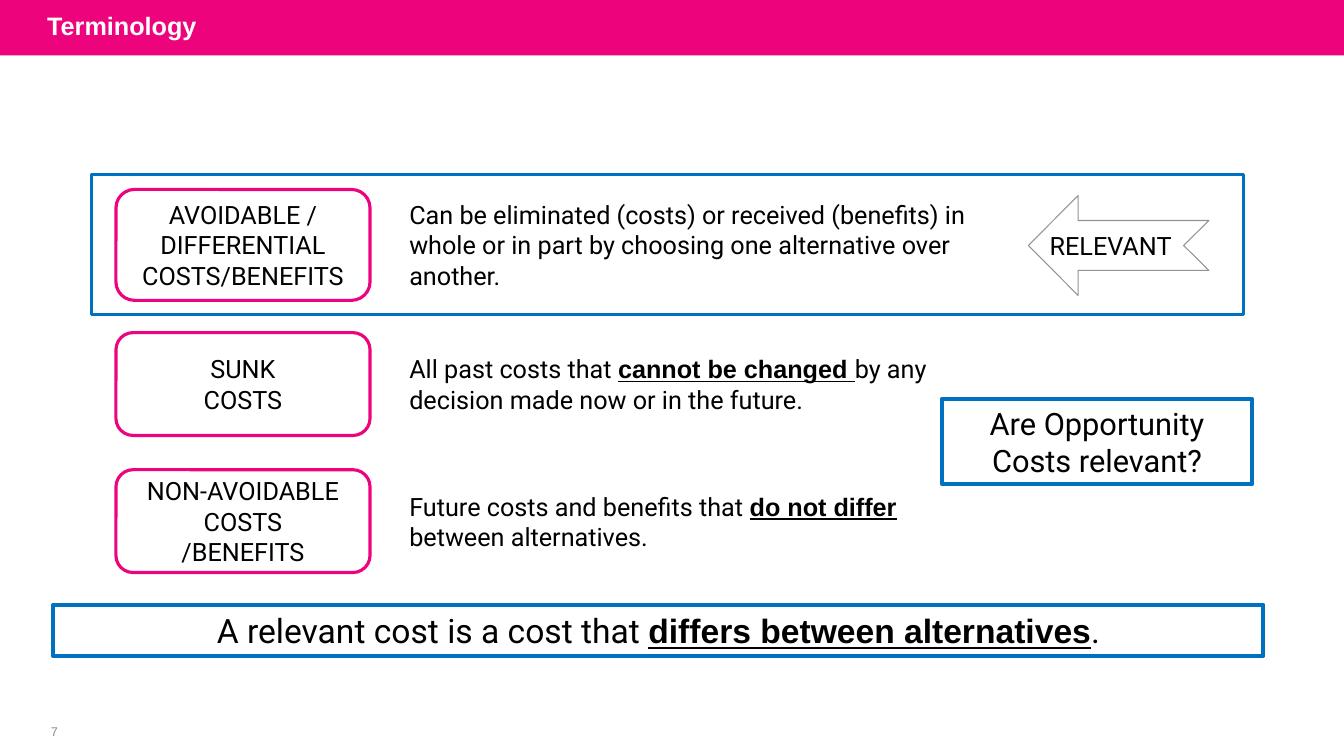
from pptx import Presentation
from pptx.dml.color import RGBColor
from pptx.enum.shapes import MSO_SHAPE
from pptx.enum.text import MSO_ANCHOR, PP_ALIGN
from pptx.util import Inches, Pt

# Content: a paragraph is a list of spans, and "*" starts a stressed span
TITLE = "Terminology"
PAGE_NUMBER = "7"
TERMS = [
    # card paragraphs, meaning paragraphs, lines of meaning
    ([["AVOIDABLE / DIFFERENTIAL COSTS/BENEFITS"]],
     [["Can be eliminated (costs) or received (benefits) in whole or in part "
       "by choosing one alternative over another."]], 3),
    ([["SUNK"], ["COSTS"]],
     [["All past costs that ", "*cannot be changed ",
       "by any decision made now or in the future."]], 2),
    ([["NON-AVOIDABLE COSTS"], ["/BENEFITS"]],
     [["Future costs and benefits that ", "*do not differ"],
      ["between alternatives."]], 2),
]
RELEVANT = [["RELEVANT"]]
QUESTION = [["Are Opportunity"], ["Costs relevant?"]]
CONCLUSION = [["A relevant cost is a cost that ",
               "*differs between alternatives", "."]]

# Layout in inches
WIDTH, HEIGHT = 13.33, 7.5
CARD_LEFT, CARD_WIDTH = 1.15, 2.52
CARD_ROWS = [(1.88, 1.1), (3.3, 1.02), (4.66, 1.02)]  # top, height
MEANING_LEFT, MEANING_WIDTH = 4.06, 5.6
LINE_HEIGHT = 0.3
FRAME = (0.91, 1.73, 11.42, 1.39)
QUESTION_BOX = (9.34, 3.96, 3.08, 0.84)
CONCLUSION_BOX = (0.53, 6, 12, 0.51)
ARROW_LEFT, ARROW_TOP, ARROW_WIDTH, ARROW_HEIGHT = 10.2, 1.94, 1.79, 0.99

PINK, BLUE, GREY, BLACK, WHITE = "ED037C", "0070C0", "929292", "000000", "FFFFFF"

deck = Presentation()
deck.slide_width, deck.slide_height = Inches(WIDTH), Inches(HEIGHT)
page = deck.slides.add_slide(deck.slide_layouts[6])


def color(value):
    return RGBColor.from_string(value)


def write(shape, paragraphs, size, align=PP_ALIGN.CENTER, font="Roboto",
          ink=BLACK, bold=False, side=0):
    frame = shape.text_frame
    frame.word_wrap = True
    frame.vertical_anchor = MSO_ANCHOR.MIDDLE
    frame.margin_left = frame.margin_right = Inches(side)
    frame.margin_top = frame.margin_bottom = 0
    for index, spans in enumerate(paragraphs):
        para = frame.add_paragraph() if index else frame.paragraphs[0]
        para.alignment = align
        for words in spans:
            stressed = words.startswith("*")
            span = para.add_run()
            span.text = words.removeprefix("*")
            span.font.name = "Arial" if stressed else font
            span.font.size = Pt(size)
            span.font.bold = bold or stressed
            span.font.underline = stressed
            span.font.color.rgb = color(ink)


def outline(shape, ink, weight):
    shape.shadow.inherit = False
    shape.fill.background()
    shape.line.color.rgb = color(ink)
    shape.line.width = Pt(weight)
    return shape


def add_box(kind, area, ink, weight):
    shape = page.shapes.add_shape(kind, *map(Inches, area))
    return outline(shape, ink, weight)


def add_text(area, paragraphs, size, **style):
    write(page.shapes.add_textbox(*map(Inches, area)), paragraphs, size, **style)


# Title band and page number
band = page.shapes.add_shape(MSO_SHAPE.RECTANGLE, 0, 0, Inches(WIDTH), Inches(0.55))
band.shadow.inherit = False
band.fill.solid()
band.fill.fore_color.rgb = color(PINK)
band.line.fill.background()
add_text((0.37, 0, 10.5, 0.51), [[TITLE]], 18, align=PP_ALIGN.LEFT,
         font="Arial", ink=WHITE, bold=True, side=0.1)
add_text((0.28, 7.14, 0.52, 0.24), [[PAGE_NUMBER]], 9, font="Arial", ink="8C8C8C")

# Conclusion
conclusion = add_box(MSO_SHAPE.RECTANGLE, CONCLUSION_BOX, BLUE, 3)
write(conclusion, CONCLUSION, 24)

# Notched arrow, in shares of its width and height
ARROW = [(1, 0.75), (0.275, 0.75), (0.275, 1), (0, 0.5),
         (0.275, 0), (0.275, 0.25), (1, 0.25), (0.86, 0.5)]
points = [(Inches(ARROW_LEFT + x * ARROW_WIDTH), Inches(ARROW_TOP + y * ARROW_HEIGHT))
          for x, y in ARROW]
builder = page.shapes.build_freeform(*points[0])
builder.add_line_segments(points[1:], close=True)
arrow = outline(builder.convert_to_shape(), GREY, 0.75)
write(arrow, RELEVANT, 18)
arrow.text_frame.margin_right = Inches(0.16)

# Terms and their meanings, each pair centred on one row
for (term, meaning, lines), (top, height) in zip(TERMS, CARD_ROWS):
    card = add_box(MSO_SHAPE.ROUNDED_RECTANGLE,
                   (CARD_LEFT, top, CARD_WIDTH, height), PINK, 2.25)
    write(card, term, 18, side=0.1)
    text_height = lines * LINE_HEIGHT + 0.03
    add_text((MEANING_LEFT, top + (height - text_height) / 2,
              MEANING_WIDTH, text_height), meaning, 18, align=PP_ALIGN.LEFT)

# Frame around the relevant row, and the question
add_box(MSO_SHAPE.RECTANGLE, FRAME, BLUE, 2)
question = add_box(MSO_SHAPE.RECTANGLE, QUESTION_BOX, BLUE, 3)
write(question, QUESTION, 22)

deck.save("out.pptx")
